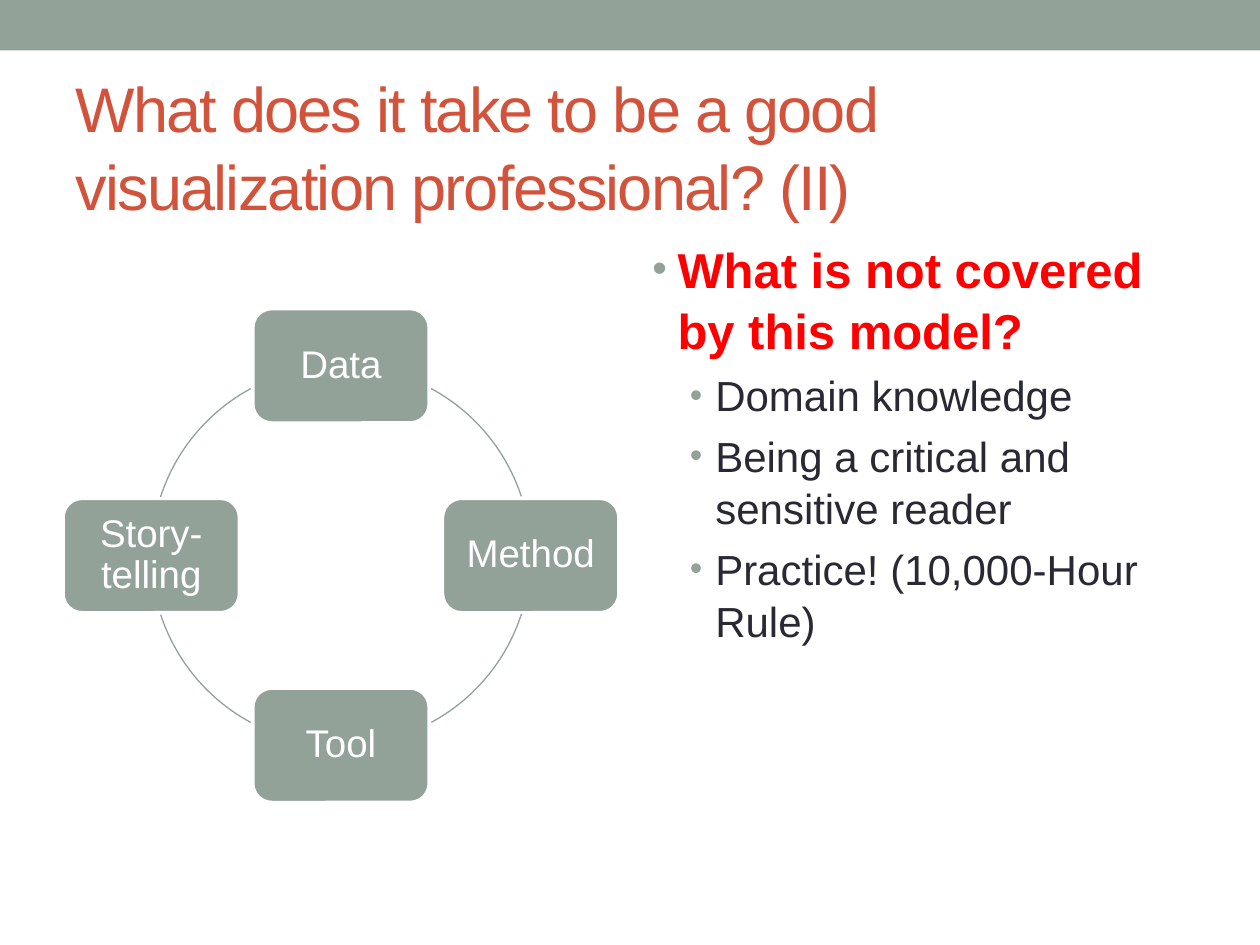
from math import cos, radians, sin

from lxml.etree import SubElement
from pptx import Presentation
from pptx.dml.color import RGBColor
from pptx.enum.shapes import MSO_SHAPE
from pptx.enum.text import MSO_ANCHOR, PP_ALIGN
from pptx.oxml.ns import qn
from pptx.util import Cm, Pt

RECTANGLE = MSO_SHAPE.RECTANGLE
ROUNDED = MSO_SHAPE.ROUNDED_RECTANGLE
ARC = MSO_SHAPE.ARC
MIDDLE = MSO_ANCHOR.MIDDLE
CENTER = PP_ALIGN.CENTER

SAGE, WHITE, RUST, RED, INK = "93A299", "FFFFFF", "D2533C", "FF0000", "292934"
TITLE = "What does it take to be a good visualization professional? (II)"
SKILLS = ["Data", "Method", "Tool", "Story-telling"]
QUESTION = "What is not covered by this model?"
ANSWERS = [
    "Domain knowledge",
    "Being a critical and sensitive reader",
    "Practice! (10,000-Hour Rule)",
]


def rgb(color):
    return RGBColor.from_string(color)


def style(paragraph, size, color, bold=False):
    font = paragraph.font
    font.name = "Arial"
    font.size = Pt(size)
    font.bold = bold
    font.color.rgb = rgb(color)


def add_block(slide, preset, left, top, width, height):
    block = slide.shapes.add_shape(preset, Cm(left), Cm(top), Cm(width), Cm(height))
    block.shadow.inherit = False
    block.fill.solid()
    block.fill.fore_color.rgb = rgb(SAGE)
    return block


def add_frame(slide, left, top, width, height):
    frame = slide.shapes.add_textbox(Cm(left), Cm(top), Cm(width), Cm(height)).text_frame
    frame.word_wrap = True
    return frame


def add_header(slide, left, top, width, height):
    band = add_block(slide, RECTANGLE, left, top, width, height)
    band.line.fill.background()
    frame = add_frame(slide, left + 1.27, top + 1.55, width - 2.54, 2.74)
    frame.vertical_anchor = MIDDLE
    heading = frame.paragraphs[0]
    heading.text = TITLE
    heading.line_spacing = 1.04
    style(heading, 36, RUST)
    heading._p.pPr.find(qn("a:defRPr")).set("spc", "-100")


def add_arc(slide, left, top, diameter, start, end):
    arc = slide.shapes.add_shape(ARC, Cm(left), Cm(top), Cm(diameter), Cm(diameter))
    arc.shadow.inherit = False
    arc.fill.background()
    arc.line.color.rgb = rgb(SAGE)
    arc.line.width = Pt(0.75)
    for index, angle in enumerate((start, end)):
        arc.adjustments[index] = angle % 360 * 0.6


def add_skill(slide, skill, left, top, width, height):
    card = add_block(slide, ROUNDED, left, top, width, height)
    card.line.color.rgb = rgb(WHITE)
    card.line.width = Pt(2.08)
    frame = card.text_frame
    frame.word_wrap = True
    frame.vertical_anchor = MIDDLE
    frame.margin_left = frame.margin_right = Cm(0.34)
    frame.margin_top = frame.margin_bottom = Cm(0.34)
    label = frame.paragraphs[0]
    label.text = skill
    label.alignment = CENTER
    label.line_spacing = 0.9
    style(label, 22, WHITE)


def add_cycle(slide, left, top, width, height):
    card_width, card_height = 3.56, 2.31
    radius = (height - card_height) / 2
    center_x, center_y = left + width / 2, top + height / 2
    arc_spans = [(-61.6, -18), (18, 61.6), (118.4, 162), (198, 241.6)]
    for index, (skill, span) in enumerate(zip(SKILLS, arc_spans)):
        angle = radians(90 * index - 90)
        add_skill(
            slide,
            skill,
            center_x + radius * cos(angle) - card_width / 2,
            center_y + radius * sin(angle) - card_height / 2,
            card_width,
            card_height,
        )
        add_arc(slide, center_x - radius, center_y - radius, 2 * radius, *span)


def add_bullet(paragraph, indent):
    props = paragraph._p.get_or_add_pPr()
    props.set("marL", str(Cm(indent)))
    props.set("indent", str(-Cm(0.51)))
    SubElement(SubElement(props, qn("a:buClr")), qn("a:srgbClr")).set("val", SAGE)
    SubElement(props, qn("a:buSzPct")).set("val", "85000")
    SubElement(props, qn("a:buFont")).set("typeface", "Arial")
    SubElement(props, qn("a:buChar")).set("char", "•")


def add_discussion(slide, left, top, width, height):
    frame = add_frame(slide, left, top, width, height)
    for index, wording in enumerate([QUESTION] + ANSWERS):
        is_question = index == 0
        point = frame.paragraphs[0] if is_question else frame.add_paragraph()
        size = 28 if is_question else 24
        point.text = wording
        point.level = 0 if is_question else 1
        point.line_spacing = 1.04
        point.space_before = Pt(size * 0.2)
        add_bullet(point, 0.51 if is_question else 1.27)
        style(point, size, RED if is_question else INK, is_question)


def main():
    deck = Presentation()
    deck.slide_width, deck.slide_height = Cm(25.4), Cm(19.05)
    slide = deck.slides.add_slide(deck.slide_layouts[6])
    add_header(slide, 0, 0, 25.4, 1.02)
    add_cycle(slide, 1.27, 6.22, 11.21, 9.96)
    add_discussion(slide, 12.9, 4.65, 11.23, 13.11)
    deck.save("out.pptx")


if __name__ == "__main__":
    main()
